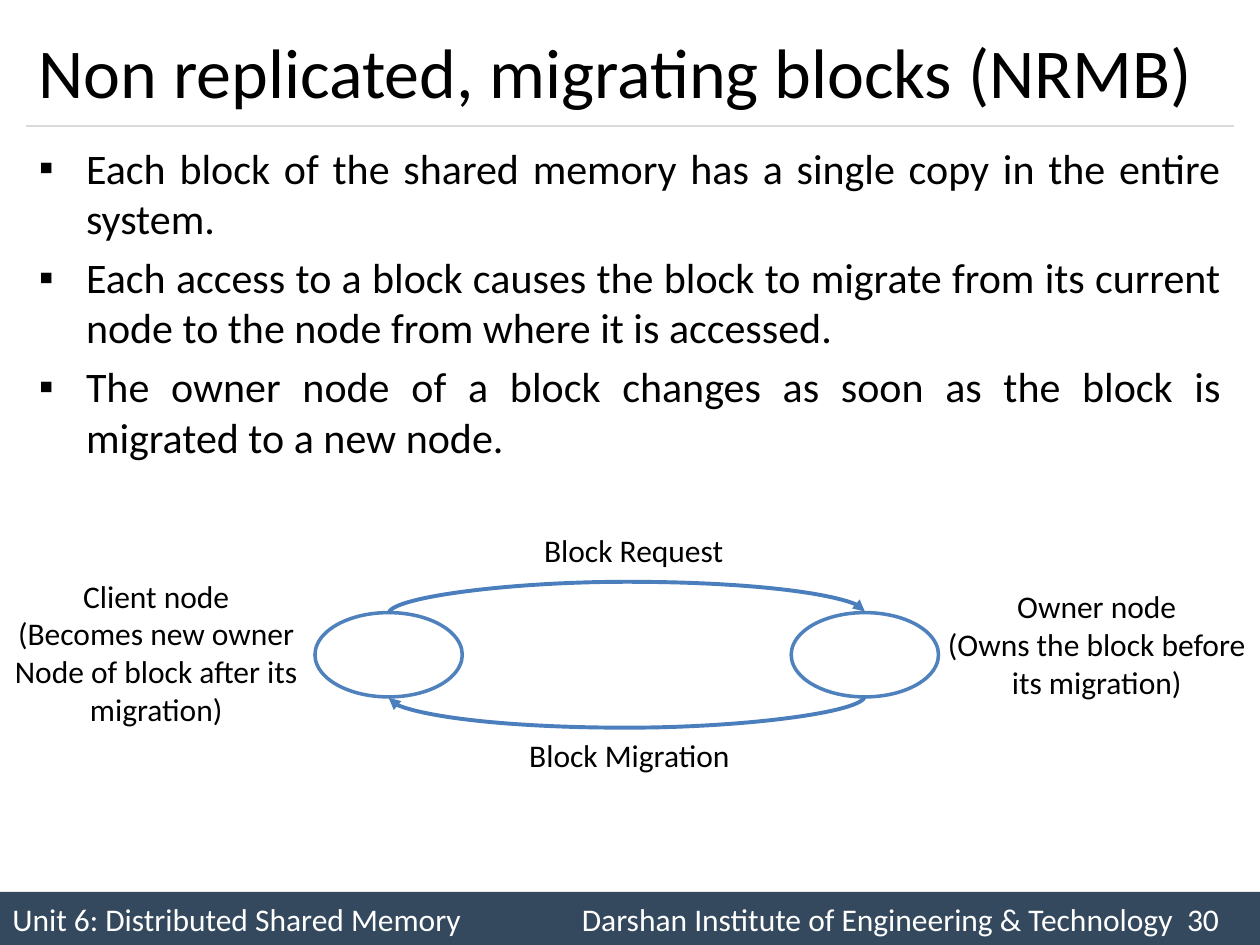
"""Build the slide on non replicated, migrating blocks."""
from typing import NamedTuple

from lxml.etree import SubElement
from pptx import Presentation
from pptx.dml.color import RGBColor
from pptx.enum.shapes import MSO_CONNECTOR, MSO_SHAPE
from pptx.enum.text import MSO_ANCHOR, MSO_AUTO_SIZE, PP_ALIGN
from pptx.oxml.ns import qn
from pptx.util import Cm, Pt

BLACK = RGBColor(0x00, 0x00, 0x00)
WHITE = RGBColor(0xFF, 0xFF, 0xFF)
NAVY = RGBColor(0x34, 0x49, 0x5E)
GREY = RGBColor(0xD9, 0xD9, 0xD9)
NODE_BLUE = RGBColor(0x4F, 0x81, 0xBD)
ARROW_BLUE = RGBColor(0x4B, 0x7E, 0xBC)

TITLE = "Non replicated, migrating blocks (NRMB)"
POINTS = [
    "Each block of the shared memory has a single copy in the entire system.",
    "Each access to a block causes the block to migrate from its current node "
    "to the node from where it is accessed.",
    "The owner node of a block changes as soon as the block is migrated to a new node.",
]
FOOTER = ["Unit 6: Distributed Shared Memory",
          "Darshan Institute of Engineering & Technology", "30"]
CLIENT = ["Client node", "(Becomes new owner", "Node of block after its", "migration)"]
OWNER = ["Owner node", "(Owns the block before", "its migration)"]


class Box(NamedTuple):
    """A region in centimetres."""
    left: float
    top: float
    width: float
    height: float

    def inner(self, left, top, width, height):
        """Return a box placed relative to this one."""
        return Box(self.left + left, self.top + top, width, height)

    def lengths(self):
        """Return the four lengths for python-pptx."""
        return [Cm(value) for value in self]


def style(para, size, color=BLACK, align=PP_ALIGN.LEFT):
    """Set the font and alignment of a paragraph."""
    para.alignment = align
    para.font.name = "Calibri"
    para.font.size = Pt(size)
    para.font.color.rgb = color


def place(shape, box):
    """Move a placeholder into a box."""
    shape.left, shape.top, shape.width, shape.height = box.lengths()
    shape.text_frame.auto_size = MSO_AUTO_SIZE.NONE


def add_line(page, kind, start, end, color, width):
    """Add a connector without a shadow between two points."""
    line = page.shapes.add_connector(kind, *[Cm(value) for value in (*start, *end)])
    line.line.color.rgb = color
    line.line.width = Pt(width)
    SubElement(line._element.spPr, qn("a:effectLst"))
    return line


def add_label(page, box, lines):
    """Add centred lines of text in a box."""
    frame = page.shapes.add_textbox(*box.lengths()).text_frame
    frame.word_wrap = False
    frame.text = "\n".join(lines)
    for para in frame.paragraphs:
        style(para, 18, align=PP_ALIGN.CENTER)


def add_title(page, box):
    """Fill the title placeholder and rule a line under it."""
    title = page.shapes.title
    place(title, box)
    title.text_frame.text = TITLE
    title.text_frame.vertical_anchor = MSO_ANCHOR.MIDDLE
    style(title.text_frame.paragraphs[0], 40, align=PP_ALIGN.JUSTIFY)
    bottom = box.top + box.height
    add_line(page, MSO_CONNECTOR.STRAIGHT, (box.left, bottom),
             (box.left + box.width, bottom), GREY, 0.75)


def add_points(page, box):
    """Fill the body placeholder with square-bulleted points."""
    body = page.placeholders[1]
    place(body, box)
    body.text_frame.text = "\n".join(POINTS)
    for index, para in enumerate(body.text_frame.paragraphs):
        para.space_before = Pt(4.8 if index else 0)
        properties = para._p.get_or_add_pPr()
        properties.set("marL", str(Cm(0.95)))
        properties.set("indent", str(Cm(-0.95)))
        SubElement(properties, qn("a:buFont"), typeface="Arial")
        SubElement(properties, qn("a:buChar"), char="▪")
        style(para, 24, align=PP_ALIGN.JUSTIFY)


def add_node(page, box):
    """Add an ellipse for one node."""
    node = page.shapes.add_shape(MSO_SHAPE.OVAL, *box.lengths())
    node.shadow.inherit = False
    node.fill.solid()
    node.fill.fore_color.rgb = WHITE
    node.line.color.rgb = NODE_BLUE
    node.line.width = Pt(2)


def add_arc(page, center, span, upward):
    """Add a curved arrow, turned a quarter, that bulges up or down."""
    thickness, bulge = 0.04, 0.64
    x, y = center
    first = (x - thickness / 2, y - span / 2)
    last = (x + thickness / 2, y + span / 2)
    start, end = (last, first) if upward else (first, last)
    arc = add_line(page, MSO_CONNECTOR.CURVE, start, end, ARROW_BLUE, 2.25)
    properties = arc._element.spPr
    properties.find(qn("a:xfrm")).set("rot", "5400000")
    adjustments = properties.find(qn("a:prstGeom")).get_or_add_avLst()
    SubElement(adjustments, qn("a:gd"), name="adj1",
               fmla=f"val {round(bulge / thickness * 100000)}")
    SubElement(properties.find(qn("a:ln")), qn("a:tailEnd"), type="triangle")


def add_diagram(page, box):
    """Draw the two nodes, the arrows between them and their labels."""
    width, height, span, left, top = 2.97, 1.7, 9.6, 6.35, 1.76
    for offset in (0, span):
        add_node(page, box.inner(left + offset, top, width, height))
    middle = box.left + left + (width + span) / 2
    add_arc(page, (middle, box.top + top), span, True)
    add_arc(page, (middle, box.top + top + height), span, False)
    add_label(page, box.inner(10.69, 0, 4.17, 1.02), ["Block Request"])
    add_label(page, box.inner(10.39, 4.12, 4.6, 1.02), ["Block Migration"])
    add_label(page, box.inner(18.82, 1.12, 6.58, 2.57), OWNER)
    add_label(page, box.inner(0, 0.91, 6.3, 3.33), CLIENT)


def add_footer(page, box):
    """Add the footer band with its three tabbed parts."""
    band = page.shapes.add_shape(MSO_SHAPE.RECTANGLE, *box.lengths())
    band.shadow.inherit = False
    band.fill.solid()
    band.fill.fore_color.rgb = NAVY
    band.line.fill.background()
    band.text_frame.vertical_anchor = MSO_ANCHOR.MIDDLE
    para = band.text_frame.paragraphs[0]
    para.text = "\t".join(FOOTER)
    tabs = SubElement(para._p.get_or_add_pPr(), qn("a:tabLst"))
    for position in (11.48, 23.68):
        SubElement(tabs, qn("a:tab"), pos=str(Cm(position)), algn="l")
    style(para, 18, WHITE)


def main():
    """Build and save the deck."""
    deck = Presentation()
    deck.slide_width, deck.slide_height = Cm(25.4), Cm(19.05)
    page = deck.slides.add_slide(deck.slide_layouts[1])
    add_footer(page, Box(0, 17.98, 25.4, 1.07))
    add_title(page, Box(0.53, 0.3, 24.34, 2.24))
    add_points(page, Box(0.53, 2.74, 24.34, 14.81))
    add_diagram(page, Box(0, 10.59, 25.4, 5.14))
    deck.save("out.pptx")


if __name__ == "__main__":
    main()
